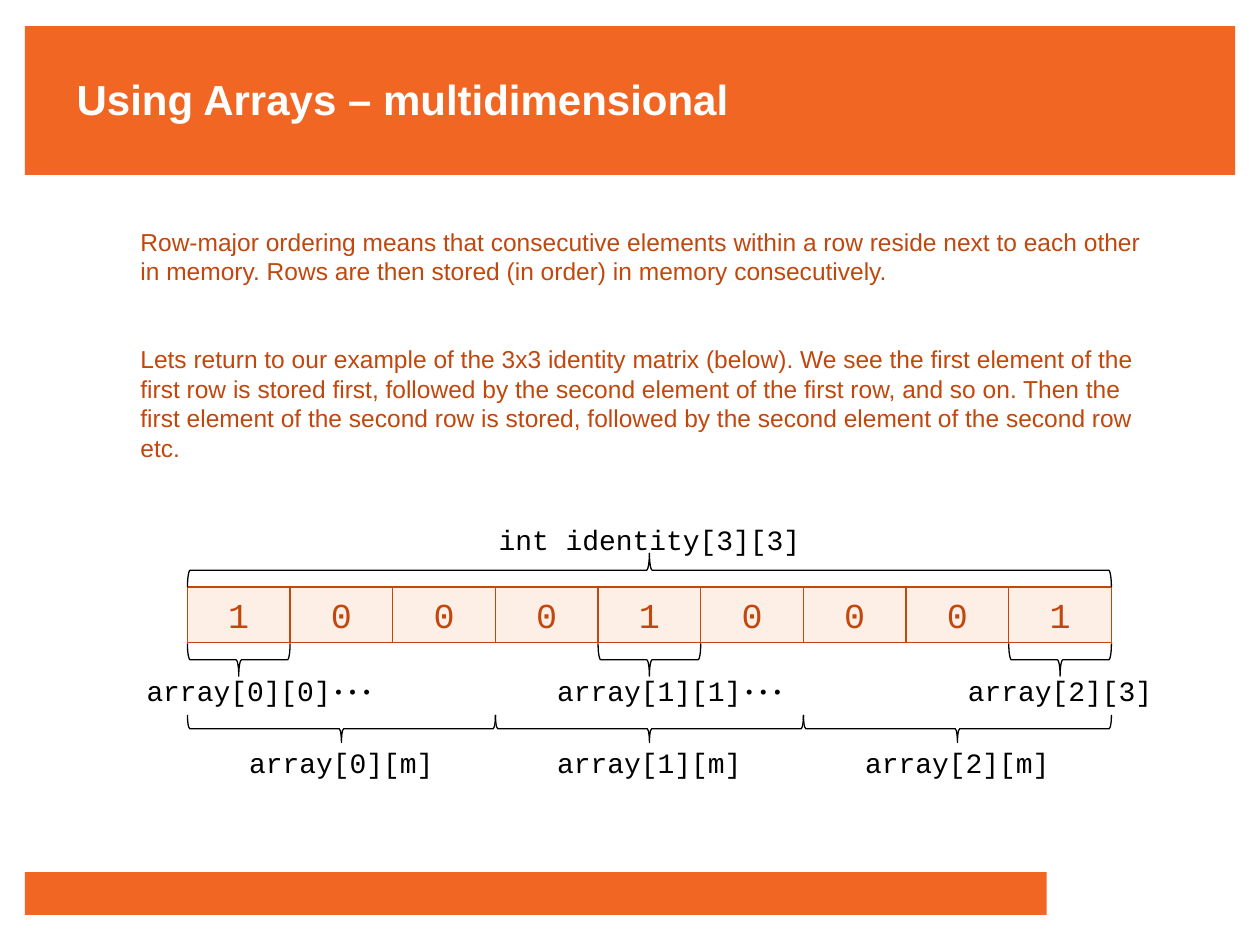
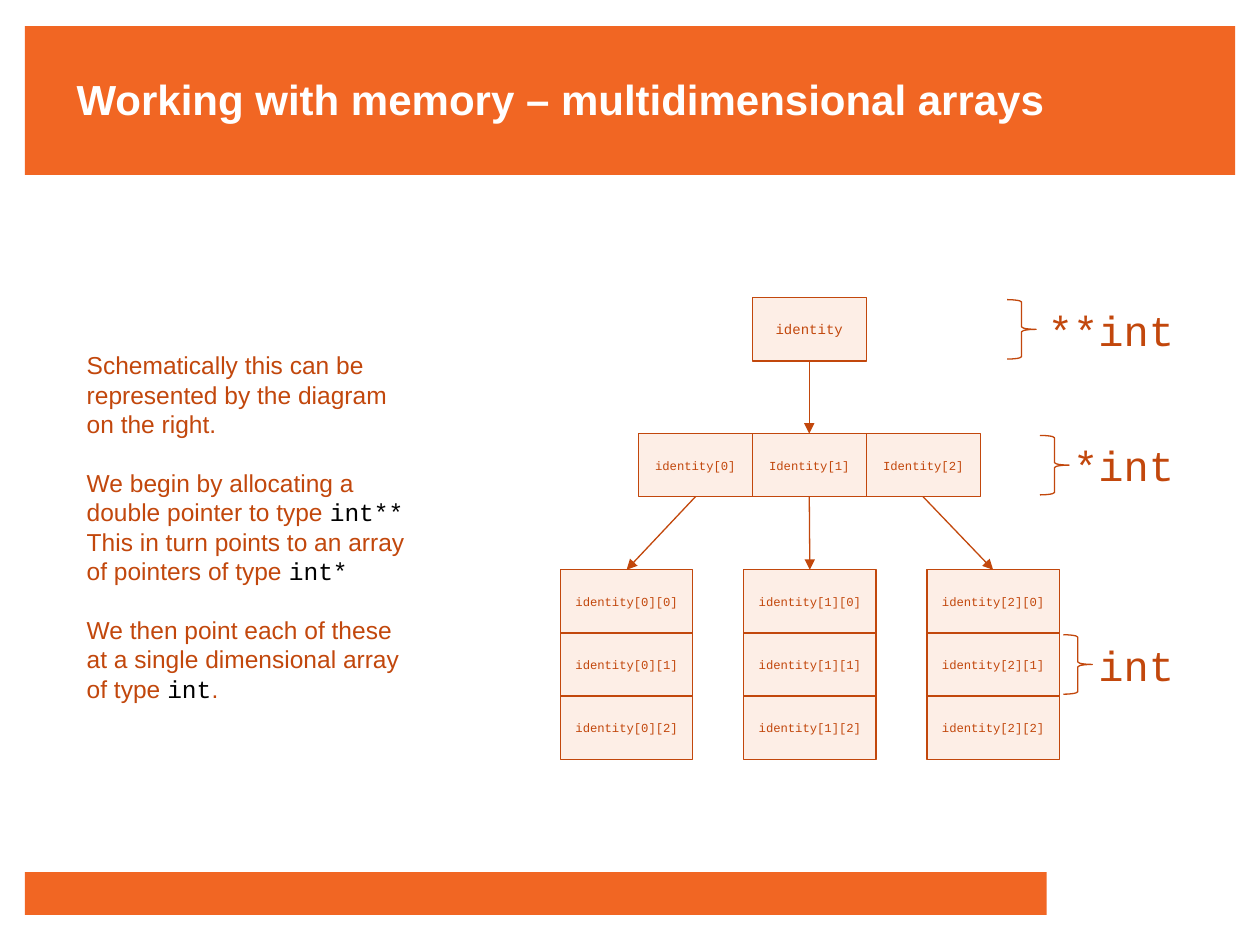
from dataclasses import dataclass

import pptx
import pptx.dml.color
import pptx.enum.shapes
import pptx.enum.text
import pptx.oxml
import pptx.oxml.ns
import pptx.util

Pt = pptx.util.Pt
SHAPE = pptx.enum.shapes.MSO_SHAPE
ALIGN = pptx.enum.text.PP_ALIGN
ANCHOR = pptx.enum.text.MSO_ANCHOR


@dataclass(frozen=True)
class Theme:
    band: str = "F16623"
    cell: str = "F48753"
    cell_alpha: int = 14
    accent: str = "C2470C"
    black: str = "000000"
    white: str = "FFFFFF"
    sans: str = "Arial"
    mono: str = "Courier New"
    serif: str = "Times New Roman"
    title: float = 24
    body: float = 14
    value: float = 20
    label: float = 16
    type_label: float = 24
    dots: float = 24
    root: float = 8
    node: float = 7
    line: float = 0.75
    leading: float = 1.2


@dataclass(frozen=True)
class Box:
    x: float
    y: float
    w: float
    h: float

    def at(self, dx, dy, w, h):
        """Box offset from this one's top left corner."""
        return Box(self.x + dx, self.y + dy, w, h)

    def lengths(self):
        return Pt(self.x), Pt(self.y), Pt(self.w), Pt(self.h)


THEME = Theme()


def rgb(color):
    return pptx.dml.color.RGBColor.from_string(color)


def style(r, size, color, font, bold=False):
    r.font.size = Pt(size)
    r.font.color.rgb = rgb(color)
    r.font.name = font
    r.font.bold = bold


def add_preset(s, kind, box, fill=None, line=None):
    sp = s.shapes.add_shape(kind, *box.lengths())
    sp.shadow.inherit = False
    if fill:
        sp.fill.solid()
        sp.fill.fore_color.rgb = rgb(fill)
    else:
        sp.fill.background()
    if line:
        sp.line.color.rgb = rgb(line)
        sp.line.width = Pt(THEME.line)
    else:
        sp.line.fill.background()
    return sp


def add_text(s, box, text, size, color, font, align=ALIGN.LEFT, bold=False, wrap=False):
    tf = s.shapes.add_textbox(*box.lengths()).text_frame
    tf.word_wrap = wrap
    tf.text = text
    p = tf.paragraphs[0]
    p.alignment = align
    style(p.runs[0], size, color, font, bold)


def add_label(s, box, text):
    add_text(s, box, text, THEME.label, THEME.black, THEME.mono, ALIGN.CENTER)


def add_body(s, box, paragraphs, gap_lines):
    """Add paragraphs, setting the parts between backticks as code."""
    leading = THEME.body * THEME.leading
    tf = s.shapes.add_textbox(*box.lengths()).text_frame
    tf.word_wrap = True
    for i, text in enumerate(paragraphs):
        p = tf.add_paragraph() if i else tf.paragraphs[0]
        p.line_spacing = Pt(leading)
        p.space_before = Pt(leading * gap_lines if i else 0)
        for j, part in enumerate(text.split("`")):
            r = p.add_run()
            r.text = part
            if j % 2:
                style(r, THEME.body, THEME.black, THEME.mono)
            else:
                style(r, THEME.body, THEME.accent, THEME.sans)


def add_cell(s, box, text, size):
    sp = add_preset(s, SHAPE.RECTANGLE, box, THEME.cell, THEME.accent)
    color = sp.fill._xPr.find(".//" + pptx.oxml.ns.qn("a:srgbClr"))
    alpha = pptx.oxml.parse_xml(
        f'<a:alpha {pptx.oxml.ns.nsdecls("a")} val="{THEME.cell_alpha * 1000}"/>')
    color.append(alpha)
    tf = sp.text_frame
    tf.text = text
    tf.vertical_anchor = ANCHOR.MIDDLE
    p = tf.paragraphs[0]
    p.alignment = ALIGN.CENTER
    style(p.runs[0], size, THEME.accent, THEME.mono)


def add_flat_brace(s, box, rotation):
    """Fill the box with a horizontal brace; 90 points down, 270 up."""
    turned = box.at((box.w - box.h) / 2, (box.h - box.w) / 2, box.h, box.w)
    sp = add_preset(s, SHAPE.RIGHT_BRACE, turned, line=THEME.black)
    sp.rotation = rotation


def add_arrow(s, x1, y1, x2, y2):
    c = s.shapes.add_connector(
        pptx.enum.shapes.MSO_CONNECTOR.STRAIGHT, Pt(x1), Pt(y1), Pt(x2), Pt(y2))
    c.line.color.rgb = rgb(THEME.accent)
    c.line.width = Pt(THEME.line)
    ns = pptx.oxml.ns.nsdecls("a")
    c.line._get_or_add_ln().append(
        pptx.oxml.parse_xml(f'<a:tailEnd {ns} type="triangle"/>'))
    c._element.spPr.append(pptx.oxml.parse_xml(f"<a:effectLst {ns}/>"))


def add_framed_slide(prs, title):
    """Add a slide with the shared bands and title."""
    s = prs.slides.add_slide(prs.slide_layouts[6])
    for band in (Box(14.2, 15, 691.7, 85), Box(14.2, 498.4, 584, 24.5)):
        add_preset(s, SHAPE.RECTANGLE, band, THEME.band)
    add_text(s, Box(36.7, 38.5, 584, 36), title, THEME.title, THEME.white,
             THEME.sans, bold=True, wrap=True)
    return s


def draw_memory_row(s, box):
    """Draw the nine stored values with the braces and labels around them."""
    rows = 3
    cells = rows * rows
    cell_w = box.w / cells
    row_w = box.w / rows
    for i in range(cells):
        value = "1" if i % (rows + 1) == 0 else "0"
        add_cell(s, box.at(i * cell_w, 0, cell_w, box.h), value, THEME.value)

    add_flat_brace(s, box.at(0, -19.4, box.w, 19.4), 270)
    add_label(s, box.at(0, -40.3, box.w, 26.6), "int identity[3][3]")

    elements = {0: "array[0][0]", 4: "array[1][1]", 8: "array[2][3]"}
    for i, text in elements.items():
        add_flat_brace(s, box.at(i * cell_w, box.h + 0.5, cell_w, 18.7), 90)
        middle = (i + 0.5) * cell_w
        add_label(s, box.at(middle - 61, 46, 122, 26.6), text)
        if i < cells - 1:
            add_text(s, box.at(middle + 46, 33.8, 37.4, 36), "…", THEME.dots,
                     THEME.black, THEME.serif, ALIGN.CENTER, wrap=True)

    for row in range(rows):
        add_flat_brace(s, box.at(row * row_w, 73, row_w, 15.8), 90)
        add_label(s, box.at(row * row_w, 87.1, row_w, 26.6), f"array[{row}][m]")


def draw_pointer_tree(s, box):
    """Draw the root, its row of pointers and the three arrays below them."""
    node_h, pointer_w, element_w, pitch = 36.1, 65.1, 75.6, 104.7
    pointers_y, elements_y = 77.6, 155.4
    pointers_x = 44.5
    center = pointers_x + 1.5 * pointer_w

    add_cell(s, box.at(center - pointer_w / 2, 0, pointer_w, node_h),
             "identity", THEME.root)
    add_arrow(s, box.x + center, box.y + node_h, box.x + center, box.y + pointers_y)

    for i, name in enumerate(("identity[0]", "Identity[1]", "Identity[2]")):
        x = pointers_x + i * pointer_w
        add_cell(s, box.at(x, pointers_y, pointer_w, node_h), name, THEME.node)
        for j in range(3):
            add_cell(s, box.at(i * pitch, elements_y + j * node_h, element_w, node_h),
                     f"identity[{i}][{j}]", THEME.node)
        add_arrow(s, box.x + x + pointer_w / 2, box.y + pointers_y + node_h,
                  box.x + i * pitch + element_w / 2, box.y + elements_y)

    levels = (
        ("**int", 0, 255.2, 271.5),
        ("*int", pointers_y, 274, 285.9),
        ("int", elements_y + node_h, 287.3, 300.3),
    )
    for text, y, brace_x, text_x in levels:
        add_preset(s, SHAPE.RIGHT_BRACE, box.at(brace_x, y + 1, 16.6, 34),
                   line=THEME.accent)
        add_text(s, box.at(text_x, y, box.w - text_x, node_h), text,
                 THEME.type_label, THEME.accent, THEME.mono)


def build_row_major_slide(prs):
    s = add_framed_slide(prs, "Using Arrays – multidimensional")
    add_body(s, Box(73.2, 126, 595.4, 177), (
        "Row-major ordering means that consecutive elements within a row reside "
        "next to each other in memory. Rows are then stored (in order) in memory "
        "consecutively.",
        "Lets return to our example of the 3x3 identity matrix (below). We see the "
        "first element of the first row is stored first, followed by the second "
        "element of the first row, and so on. Then the first element of the second "
        "row is stored, followed by the second element of the second row etc.",
    ), gap_lines=2)
    draw_memory_row(s, Box(107.1, 335.5, 528, 31.7))


def build_pointer_slide(prs):
    s = add_framed_slide(prs, "Working with memory – multidimensional arrays")
    add_body(s, Box(42.5, 196.6, 198.7, 211), (
        "Schematically this can be represented by the diagram on the right.",
        "We begin by allocating a double pointer to type `int** `This in turn "
        "points to an array of pointers of type `int*",
        "We then point each of these at a single dimensional array of type `int`.",
    ), gap_lines=1)
    draw_pointer_tree(s, Box(320.3, 170.2, 358.7, 263.7))


def main():
    prs = pptx.Presentation()
    prs.slide_width, prs.slide_height = Pt(720), Pt(540)
    build_row_major_slide(prs)
    build_pointer_slide(prs)
    prs.save("out.pptx")


if __name__ == "__main__":
    main()
